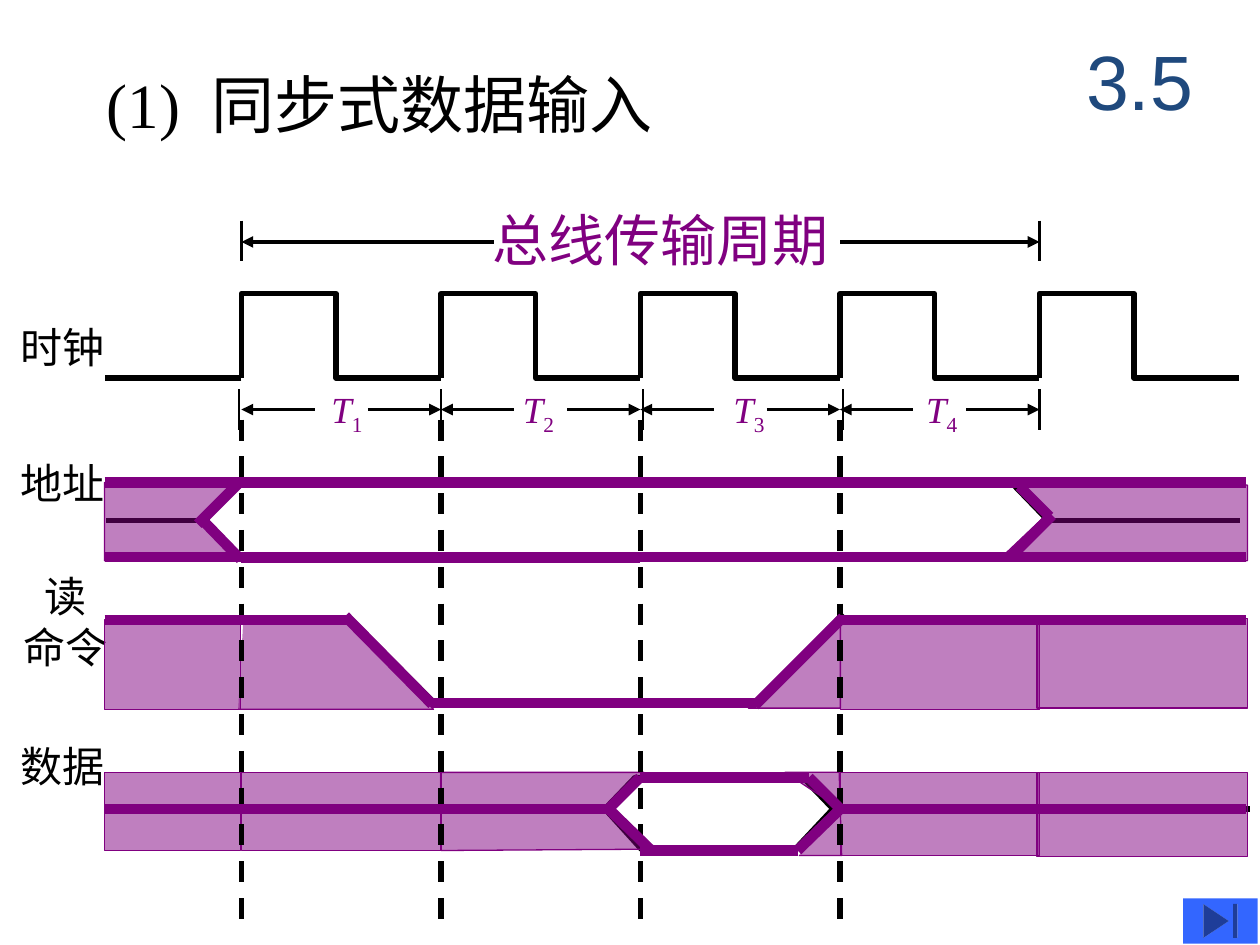
from dataclasses import dataclass
from itertools import pairwise

from pptx import Presentation
from pptx.dml.color import RGBColor
from pptx.enum.dml import MSO_LINE
from pptx.enum.shapes import MSO_CONNECTOR, MSO_SHAPE
from pptx.enum.text import MSO_ANCHOR, MSO_AUTO_SIZE, PP_ALIGN
from pptx.oxml.ns import qn
from pptx.util import Cm, Pt
from lxml import etree

STRAIGHT = MSO_CONNECTOR.STRAIGHT
DASH = MSO_LINE.DASH
RECTANGLE, END_BUTTON = MSO_SHAPE.RECTANGLE, MSO_SHAPE.ACTION_BUTTON_END
LEFT, CENTER = PP_ALIGN.LEFT, PP_ALIGN.CENTER
TOP, MIDDLE = MSO_ANCHOR.TOP, MSO_ANCHOR.MIDDLE
GROW, FIXED = MSO_AUTO_SIZE.SHAPE_TO_FIT_TEXT, MSO_AUTO_SIZE.NONE

Point = tuple[float, float]


@dataclass(frozen=True)
class Theme:
    ink: str = "000000"
    accent: str = "800080"
    heading: str = "1F497D"
    button: str = "3366FF"
    serif: str = "Times New Roman"
    thin: float = 0.75
    tick: float = 1.25
    arrow: float = 2.25
    signal: float = 3
    bold: float = 6
    label: float = 24
    title: float = 36
    state: float = 21


THEME = Theme()


@dataclass(frozen=True)
class Stroke:
    color: str = THEME.ink
    width: float = THEME.signal
    dashed: bool = False
    arrow: str = ""


@dataclass(frozen=True)
class Caption:
    lines: tuple[str, ...]
    box: tuple[float, float, float, float]
    size: float
    color: str = THEME.ink
    font: str = THEME.serif
    italic: bool = False
    align: int = LEFT
    anchor: int = TOP
    margins: tuple[float, float] = (0, 0)
    wrap: bool = True
    grow: bool = True


SIGNAL = Stroke()
TICK = Stroke(width=THEME.tick)
BOLD = Stroke(THEME.accent, THEME.bold)
THIN_ACCENT = Stroke(THEME.accent, THEME.signal)
DASHED = Stroke(dashed=True)

prs = Presentation()


def units(inches: float) -> int:
    return Cm(inches * 2.54)


prs.slide_width, prs.slide_height = units(10), units(7.5)
shapes = prs.slides.add_slide(prs.slide_layouts[6]).shapes


def draw_line(start: Point, end: Point, stroke: Stroke) -> None:
    line = shapes.add_connector(STRAIGHT, *map(units, start + end))
    line.line.color.rgb = RGBColor.from_string(stroke.color)
    line.line.width = Pt(stroke.width)
    if stroke.dashed:
        line.line.dash_style = DASH
    properties = line.element.spPr
    if stroke.arrow:
        etree.SubElement(properties.find(qn("a:ln")), qn(f"a:{stroke.arrow}"), type="triangle")
    etree.SubElement(properties, qn("a:effectLst"))


def shade(area) -> None:
    """Half-transparent accent fill with a hairline edge."""
    area.shadow.inherit = False
    area.fill.solid()
    area.fill.fore_color.rgb = area.line.color.rgb = RGBColor.from_string(THEME.accent)
    area.line.width = Pt(THEME.thin)
    fill_color = area.element.spPr.find(qn("a:solidFill"))[0]
    etree.SubElement(fill_color, qn("a:alpha"), val="50000")


def outline(points: list[Point], closed: bool):
    first, *rest = [(units(x), units(y)) for x, y in points]
    builder = shapes.build_freeform(*first)
    builder.add_line_segments(rest, close=closed)
    return builder.convert_to_shape()


def draw_wave(points: list[Point], closed: bool = False, width: float = THEME.signal) -> None:
    wave = outline(points, closed)
    wave.shadow.inherit = False
    wave.fill.background()
    wave.line.color.rgb = RGBColor.from_string(THEME.ink)
    wave.line.width = Pt(width)


def add_run(paragraph, text: str, caption: Caption, italic: bool):
    run = paragraph.add_run()
    run.text = text
    formats = {"name": caption.font, "size": Pt(caption.size), "italic": italic}
    for attribute, value in formats.items():
        setattr(run.font, attribute, value)
    run.font.color.rgb = RGBColor.from_string(caption.color)
    return run.font


def draw_caption(caption: Caption):
    frame = shapes.add_textbox(*map(units, caption.box)).text_frame
    side, edge = map(units, caption.margins)
    formats = {"margin_left": side, "margin_right": side, "margin_top": edge,
               "margin_bottom": edge, "word_wrap": caption.wrap,
               "vertical_anchor": caption.anchor, "auto_size": GROW if caption.grow else FIXED}
    for attribute, value in formats.items():
        setattr(frame, attribute, value)
    for index, text in enumerate(caption.lines):
        paragraph = frame.add_paragraph() if index else frame.paragraphs[0]
        paragraph.alignment = caption.align
        add_run(paragraph, text, caption, caption.italic)
    return frame


# Time grid: four bus states, then the following cycle
PERIOD = 19 / 12
EDGES = [23 / 12 + PERIOD * n for n in range(5)]
FIRST, LAST = EDGES[0], EDGES[-1]
BEGIN, FINISH = 0.83, 9.89

# Headings
title = draw_caption(Caption(("(1)",), (0.75, 0.47, 5.17, 0.7), THEME.title, margins=(0.1, 0.05)))
title_style = Caption((), (0, 0, 0, 0), THEME.title)
gap = add_run(title.paragraphs[0], " ", title_style, False)
gap._element.set("spc", "900")
add_run(title.paragraphs[0], "同步式数据输入", title_style, False)
draw_caption(Caption(("3.5",), (8.42, 0.17, 1.25, 0.92), 44, THEME.heading, "Arial",
                     align=CENTER, anchor=MIDDLE, margins=(0.1, 0.05), grow=False))
draw_caption(Caption(("总线传输周期",), (3.91, 1.63, 2.67, 0.53), 32, THEME.accent,
                     "Calibri", wrap=False))

# Signal names
for name, top in (("时钟", 2.5), ("地址", 3.58), ("数据", 5.83)):
    draw_caption(Caption((name,), (0.16, top, 0.9, 0.5), THEME.label, margins=(0, 0.05)))
draw_caption(Caption(("读", "命令"), (0.17, 4.48, 0.7, 0.9), THEME.label,
                     align=CENTER, margins=(0, 0.05)))

# Clock and the bus cycle span
draw_line((FIRST, 3), (BEGIN, 3), SIGNAL)
for x in EDGES:
    draw_wave([(x, 3), (x, 2.33), (x + 0.75, 2.33), (x + 0.75, 3), (x + PERIOD, 3)])
for x in (FIRST, LAST):
    draw_line((x, 1.75), (x, 2.07), TICK)
for x in (1.9, 3.5, 5.1, 6.69, 8.25):
    draw_line((x, 3.09), (x, 3.41), TICK)
HEAD, TAIL = (Stroke(width=THEME.arrow, arrow=end) for end in ("headEnd", "tailEnd"))
draw_line((FIRST, 1.92), (3.92, 1.92), HEAD)
draw_line((6.67, 1.92), (LAST, 1.92), TAIL)

# Bus states T1 to T4
for number, ((start, end), left) in enumerate(zip(pairwise(EDGES), (2.63, 4.15, 5.82, 7.35)), 1):
    draw_line((start, 3.25), (start + 0.58, 3.25), HEAD)
    draw_line((end - 0.58, 3.25), (end, 3.25), TAIL)
    state = Caption(("T",), (left, 3.07, 0.25, 0.4), THEME.state, THEME.accent,
                    italic=True, wrap=False)
    paragraph = draw_caption(state).paragraphs[0]
    add_run(paragraph, str(number), state, False)._element.set("baseline", "-25000")

# Black base signals: address, read command, data
draw_wave([(1.91, 3.83), (1.62, 4.13), (1.92, 4.43), (8.02, 4.43), (8.31, 4.13), (8.02, 3.83)],
          closed=True, width=2.5)
draw_wave([(4.8, 6.42), (5.04, 6.17), (6.37, 6.17), (6.61, 6.42), (6.31, 6.74), (5.09, 6.74)],
          closed=True)
for start, end in [((1.67, 4.13), (0.84, 4.13)), ((8.33, 4.13), (9.84, 4.13)),
                   ((0.84, 4.9), (2.78, 4.9)), ((3.46, 5.59), (2.76, 4.89)),
                   ((3.44, 5.57), (6.03, 5.57)), ((6.7, 4.88), (6.02, 5.56)),
                   ((6.69, 4.9), (9.87, 4.9)),
                   ((BEGIN, 6.42), (4.8, 6.42)), ((6.61, 6.42), (9.92, 6.42))]:
    draw_line(start, end, SIGNAL)

# Shaded areas
for left, top, width, height in [
        (BEGIN, 4.92, 1.08, 0.71), (6.67, 4.92, PERIOD, 0.71), (8.23, 4.91, 1.67, 0.71),
        (BEGIN, 6.13, 1.08, 0.62), (FIRST, 6.13, PERIOD, 0.62),
        (6.67, 6.13, PERIOD, 0.66), (8.23, 6.13, 1.67, 0.67)]:
    shade(shapes.add_shape(RECTANGLE, *map(units, (left, top, width, height))))
for area, closed in [
        ([(1.62, 4.17), (1.84, 3.84), (0.83, 3.83), (0.83, 4.45), (1.9, 4.45)], False),
        ([(8.06, 3.83), (9.9, 3.85), (9.9, 4.45), (7.92, 4.45), (8.31, 4.08)], False),
        ([(1.89, 5.63), (3.44, 5.63), (2.76, 4.92), (1.93, 4.94)], False),
        ([(5.94, 5.62), (6.67, 5.62), (6.67, 4.87)], True),
        ([(3.49, 6.13), (5.11, 6.13), (4.83, 6.42), (5.11, 6.74), (3.5, 6.75)], False),
        ([(6.67, 6.42), (6.23, 6.13), (6.66, 6.13), (6.68, 6.79), (6.34, 6.79)], False)]:
    shade(outline(area, closed))

# Dashed state boundaries
for x in EDGES[:-1]:
    draw_line((x, 3.33), (x, 7.4), DASHED)

# Accent levels, cut at the state boundaries
for y in (3.85, 4.45):
    for start, end in pairwise(EDGES[:3]):
        draw_line((start, y), (end, y), THIN_ACCENT)
FULL_ROW = [BEGIN, *EDGES[:3], 6, *EDGES[3:], FINISH]
for y, cuts in [(3.83, FULL_ROW), (4.42, FULL_ROW),
                (4.92, [BEGIN, FIRST, 2.75]), (4.92, [*EDGES[3:], FINISH]),
                (5.58, [3.42, EDGES[2], 6]),
                (6.17, [EDGES[2], 6, 6.42]), (6.75, [EDGES[2], 6, 6.33]),
                (6.42, [BEGIN, *EDGES[:2], 4.87]), (6.42, [*EDGES[3:], FINISH])]:
    for start, end in pairwise(cuts):
        draw_line((start, y), (end, y), BOLD)

# Accent transitions
for start, end in [((1.91, 4.44), (1.59, 4.11)), ((1.89, 3.84), (1.57, 4.16)),
                   ((8.35, 4.09), (8.03, 4.41)), ((8.33, 4.1), (8.09, 3.86)),
                   ((3.43, 5.59), (2.74, 4.89)), ((6.69, 4.9), (5.99, 5.6)),
                   ((4.83, 6.42), (5.08, 6.17)), ((4.83, 6.42), (5.17, 6.75)),
                   ((6.33, 6.75), (6.67, 6.42)), ((6.42, 6.17), (6.67, 6.42))]:
    draw_line(start, end, BOLD)

# Button to the end
button = shapes.add_shape(END_BUTTON, *map(units, (9.39, 7.13, 0.59, 0.36)))
button.shadow.inherit = False
button.fill.solid()
button.fill.fore_color.rgb = RGBColor.from_string(THEME.button)
button.line.fill.background()

prs.save("out.pptx")
